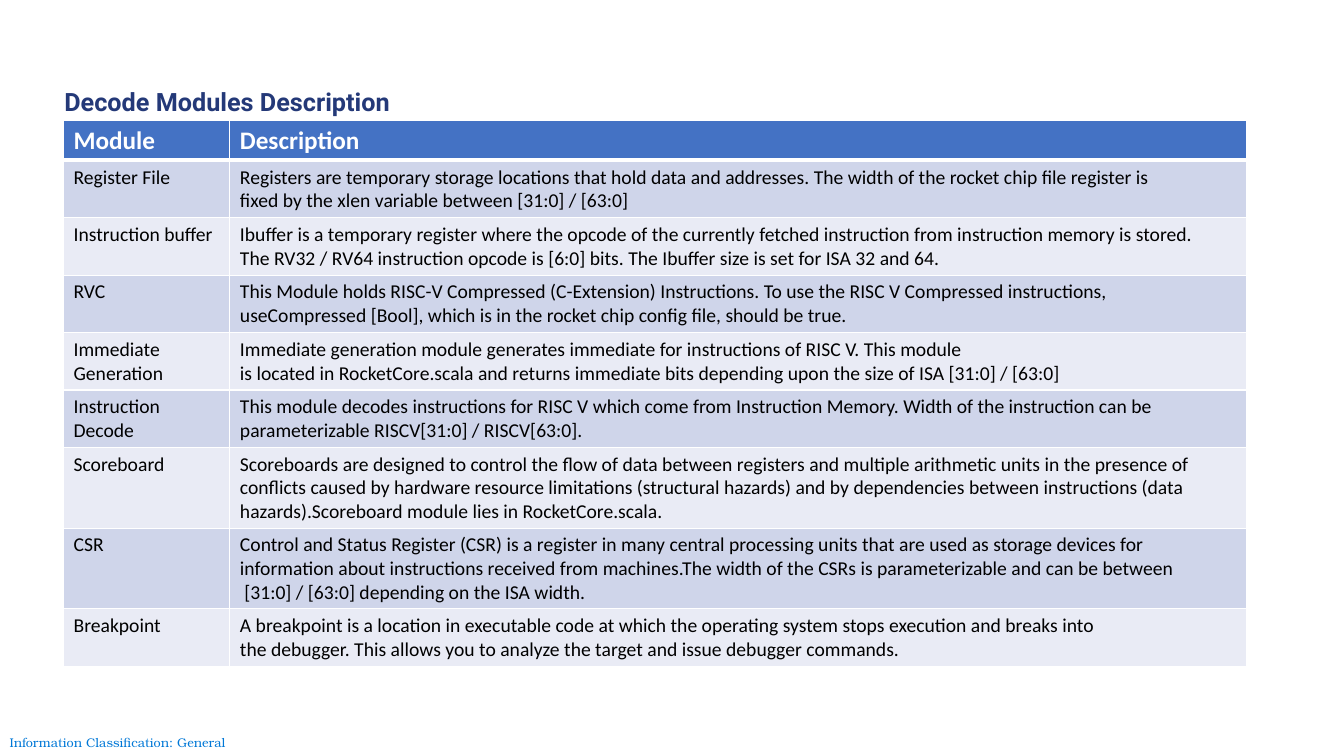
from dataclasses import dataclass

from lxml import etree
from pptx import Presentation
from pptx.dml.color import RGBColor
from pptx.enum.text import MSO_ANCHOR, PP_ALIGN
from pptx.oxml.ns import qn
from pptx.util import Inches, Pt

MIDDLE = MSO_ANCHOR.MIDDLE
CENTER = PP_ALIGN.CENTER
LEFT = PP_ALIGN.LEFT

TITLE = "Decode Modules Description"
FOOTER = "Information Classification: General"
HEADER = ("Module", "Description")
MODULES = [
    ("Register File",
     ["Registers are temporary storage locations that hold data and addresses. "
      "The width of the rocket chip file register is",
      "fixed by the xlen variable between [31:0] / [63:0]"]),
    ("Instruction buffer",
     ["Ibuffer is a temporary register where the opcode of the currently fetched "
      "instruction from instruction memory is stored.\n"
      "The RV32 / RV64 instruction opcode is [6:0] bits. "
      "The Ibuffer size is set for ISA 32 and 64."]),
    ("RVC",
     ["This Module holds RISC-V Compressed (C-Extension) Instructions. "
      "To use the RISC V Compressed instructions,\n"
      "useCompressed [Bool], which is in the rocket chip config file, should be true."]),
    ("Immediate Generation",
     ["Immediate generation module generates immediate for instructions of RISC V. This module",
      "is located in RocketCore.scala and returns immediate bits depending upon "
      "the size of ISA [31:0] / [63:0]"]),
    ("Instruction Decode",
     ["This module decodes instructions for RISC V which come from Instruction Memory. "
      "Width of the instruction can be parameterizable RISCV[31:0] / RISCV[63:0]."]),
    ("Scoreboard",
     ["Scoreboards are designed to control the flow of data between registers and multiple "
      "arithmetic units in the presence of conflicts caused by hardware resource limitations "
      "(structural hazards) and by dependencies between instructions (data hazards)."
      "Scoreboard module lies in RocketCore.scala."]),
    ("CSR",
     ["Control and Status Register (CSR) is a register in many central processing units "
      "that are used as storage devices for\n"
      "information about instructions received from machines."
      "The width of the CSRs is parameterizable and can be between\n"
      " [31:0] / [63:0] depending on the ISA width."]),
    ("Breakpoint",
     ["A breakpoint is a location in executable code at which the operating system "
      "stops execution and breaks into",
      "the debugger. This allows you to analyze the target and issue debugger commands."]),
]
COLUMN_WIDTHS = (1.65, 10.08)
HEADER_HEIGHT = 0.39
ROW_HEIGHT = 0.57
TALL_ROW_HEIGHT = 0.8
TALL_MODULES = ("Scoreboard", "CSR")


@dataclass(frozen=True)
class TextStyle:
    font: str
    size: float
    color: str
    bold: bool = False


@dataclass(frozen=True)
class Theme:
    title: TextStyle = TextStyle("Roboto", 18, "243978", True)
    header: TextStyle = TextStyle("Calibri", 18, "FFFFFF", True)
    body: TextStyle = TextStyle("Calibri", 14, "000000")
    footer: TextStyle = TextStyle("TeX Gyre Bonum", 9, "0078D7")
    header_fill: str = "4472C4"
    bands: tuple = ("CFD5EA", "E9EBF5")
    border: str = "FFFFFF"
    thin: float = 1
    thick: float = 3


THEME = Theme()


def write(frame, paragraphs, style, align=LEFT, line_spacing=None):
    for index, text in enumerate(paragraphs):
        para = frame.paragraphs[0] if index == 0 else frame.add_paragraph()
        para.alignment = align
        if line_spacing:
            para.line_spacing = line_spacing
        for number, line in enumerate(text.split("\n")):
            if number:
                para.add_line_break()
            span = para.add_run()
            span.text = line
            span.font.name = style.font
            span.font.size = Pt(style.size)
            span.font.bold = style.bold
            span.font.color.rgb = RGBColor.from_string(style.color)
        para.font.size = Pt(style.size)


def add_text(page, bounds, text, style, align=LEFT, inset=None, line_spacing=None):
    box = page.shapes.add_textbox(*map(Inches, bounds))
    frame = box.text_frame
    frame.word_wrap = True
    frame.vertical_anchor = MIDDLE
    if inset is not None:
        frame.margin_left = frame.margin_right = Inches(inset)
        frame.margin_top = frame.margin_bottom = Inches(inset)
    write(frame, [text], style, align, line_spacing)


def set_borders(cell, top, bottom):
    properties = cell._tc.get_or_add_tcPr()
    widths = {"a:lnL": THEME.thin, "a:lnR": THEME.thin, "a:lnT": top, "a:lnB": bottom}
    for tag, width in widths.items():
        line = etree.SubElement(properties, qn(tag), w=str(Pt(width)))
        fill = etree.SubElement(line, qn("a:solidFill"))
        etree.SubElement(fill, qn("a:srgbClr"), val=THEME.border)


def add_module_table(page):
    rows = [(HEADER[0], [HEADER[1]])] + MODULES
    heights = [HEADER_HEIGHT] + [
        TALL_ROW_HEIGHT if name in TALL_MODULES else ROW_HEIGHT for name, _ in MODULES
    ]
    bounds = (0.63, 1.19, sum(COLUMN_WIDTHS), sum(heights))
    table = page.shapes.add_table(
        len(rows), len(COLUMN_WIDTHS), *map(Inches, bounds)
    ).table
    for column, width in zip(table.columns, COLUMN_WIDTHS):
        column.width = Inches(width)
    for index, (name, description) in enumerate(rows):
        table.rows[index].height = Inches(heights[index])
        is_header = index == 0
        style = THEME.header if is_header else THEME.body
        color = THEME.header_fill if is_header else THEME.bands[(index - 1) % 2]
        top = THEME.thick if index == 1 else THEME.thin
        bottom = THEME.thick if is_header else THEME.thin
        for cell, paragraphs in zip(table.rows[index].cells, ([name], description)):
            set_borders(cell, top, bottom)
            cell.fill.solid()
            cell.fill.fore_color.rgb = RGBColor.from_string(color)
            write(cell.text_frame, paragraphs, style)


def main():
    deck = Presentation()
    deck.slide_width = Inches(13.33)
    deck.slide_height = Inches(7.5)
    page = deck.slides.add_slide(deck.slide_layouts[6])
    add_text(page, (0, 7.24, 2.33, 0.26), FOOTER, THEME.footer, CENTER, inset=0)
    add_module_table(page)
    add_text(page, (0.54, 0.71, 6.13, 0.64), TITLE, THEME.title, line_spacing=0.9)
    deck.save("out.pptx")


if __name__ == "__main__":
    main()
